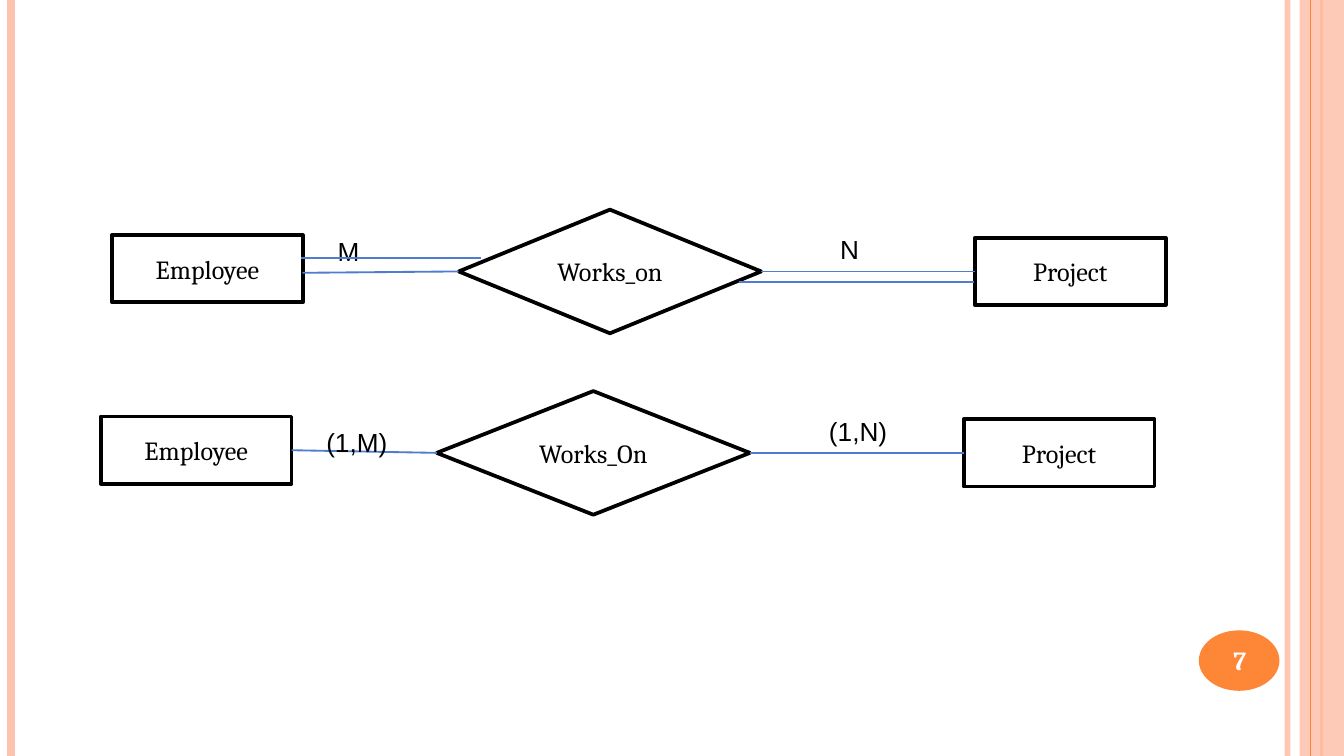
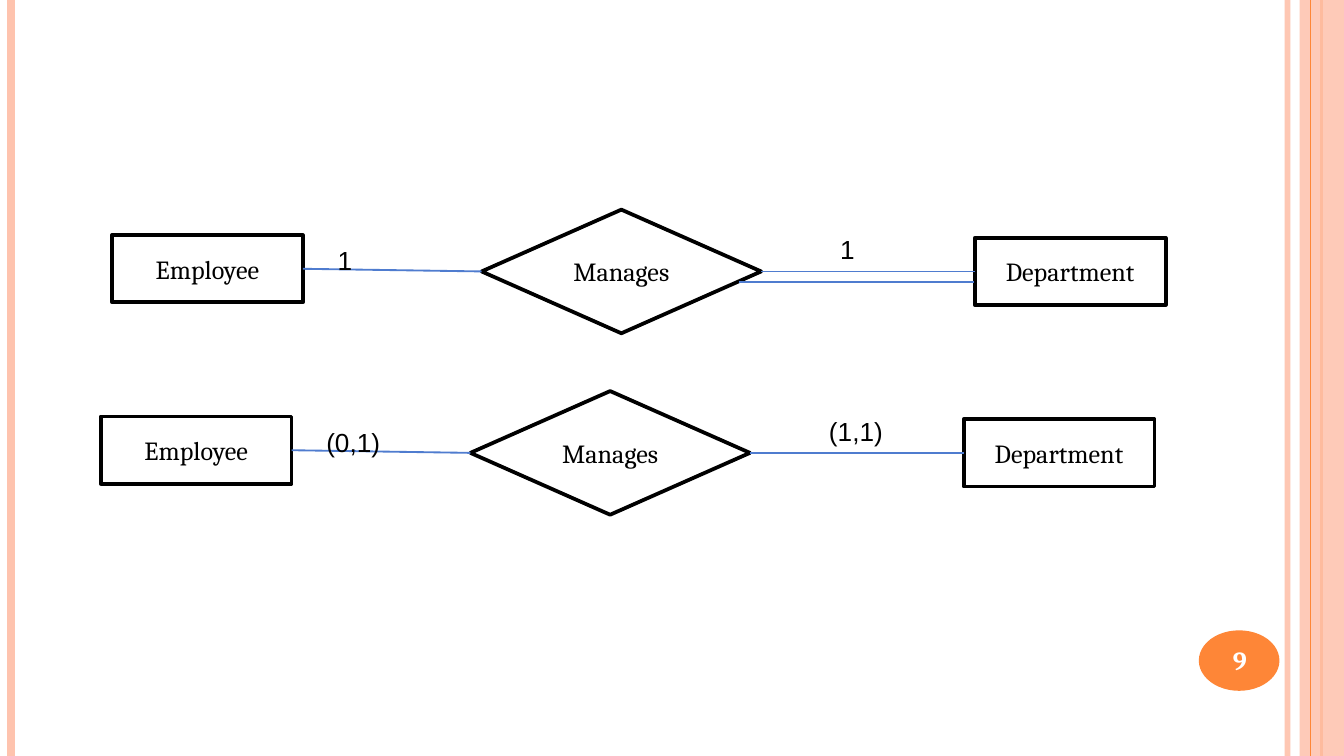
from lxml import etree
from pptx import Presentation
from pptx.dml.color import RGBColor
from pptx.enum.shapes import MSO_CONNECTOR, MSO_SHAPE
from pptx.enum.text import MSO_ANCHOR, MSO_AUTO_SIZE, PP_ALIGN
from pptx.oxml.ns import qn
from pptx.util import Inches, Pt

STRAIGHT = MSO_CONNECTOR.STRAIGHT
RECTANGLE, OVAL = MSO_SHAPE.RECTANGLE, MSO_SHAPE.OVAL
DECISION = MSO_SHAPE.FLOWCHART_DECISION
MIDDLE, TOP = MSO_ANCHOR.MIDDLE, MSO_ANCHOR.TOP
CENTER, LEFT = PP_ALIGN.CENTER, PP_ALIGN.LEFT
GROW, FIXED = MSO_AUTO_SIZE.SHAPE_TO_FIT_TEXT, MSO_AUTO_SIZE.NONE

WHITE = RGBColor(0xFF, 0xFF, 0xFF)
BLACK = RGBColor(0x00, 0x00, 0x00)
PEACH = RGBColor(0xFE, 0xC3, 0xAE)
ORANGE = RGBColor(0xFE, 0x86, 0x37)
BLUE = RGBColor(0x4F, 0x7C, 0xCF)

SERIF, SANS = "Cambria", "Arial"
WIDTH = 10
HEIGHT = WIDTH * 9 / 16
LEFT_SIDE, RIGHT_SIDE = 1, 3

# Diagram sizes and the corners of the two diagrams on each slide
ENTITY_W, ENTITY_H = 1.42, 0.5
DIAMOND_H = 0.92
LABEL_W, LABEL_H = 0.67, 0.34
UPPER = (5 / 6, 1.75)
LOWER = (0.75, 3.1)


def write(shape, text, font=SERIF, size=14, color=BLACK, bold=False,
          align=CENTER, anchor=MIDDLE, auto_size=FIXED):
    frame = shape.text_frame
    frame.word_wrap = True
    frame.auto_size = auto_size
    frame.vertical_anchor = anchor
    paragraph = frame.paragraphs[0]
    paragraph.alignment = align
    run = paragraph.add_run()
    run.text = text
    run.font.name = font
    run.font.size = Pt(size)
    run.font.bold = bold
    run.font.color.rgb = color


def set_opacity(item, percent):
    for color in item.element.spPr.iter(qn("a:srgbClr")):
        etree.SubElement(color, qn("a:alpha")).set("val", str(percent * 1000))


class Deck:
    def __init__(self):
        self.presentation = Presentation()
        self.presentation.slide_width = Inches(WIDTH)
        self.presentation.slide_height = Inches(HEIGHT)
        self.slide = None

    def shape(self, kind, left, top, width, height, fill=WHITE, outline=None):
        shape = self.slide.shapes.add_shape(
            kind, Inches(left), Inches(top), Inches(width), Inches(height))
        shape.shadow.inherit = False
        shape.fill.solid()
        shape.fill.fore_color.rgb = fill
        if outline is None:
            shape.line.fill.background()
        else:
            shape.line.color.rgb = outline
            shape.line.width = Pt(2)
        return shape

    def node(self, kind, text, left, top, width, height):
        node = self.shape(kind, left, top, width, height, outline=BLACK)
        write(node, text)
        return node

    def text(self, text, left, top, width, height, **style):
        box = self.slide.shapes.add_textbox(
            Inches(left), Inches(top), Inches(width), Inches(height))
        write(box, text, **style)

    def label(self, text, left, top):
        self.text(text, left, top, LABEL_W, LABEL_H, font=SANS,
                  align=LEFT, anchor=TOP, auto_size=GROW)

    def line(self, x1, y1, x2, y2, color=BLUE, weight=1):
        line = self.slide.shapes.add_connector(
            STRAIGHT, Inches(x1), Inches(y1), Inches(x2), Inches(y2))
        line.line.color.rgb = color
        line.line.width = Pt(weight)
        etree.SubElement(line.element.spPr, qn("a:effectLst"))
        return line

    def join(self, source, target, start=None):
        """Link facing sides; start is a free (x, y) point on the source."""
        x, y = start or (0, 0)
        link = self.line(x, y, x, y)
        if start is None:
            link.begin_connect(source, RIGHT_SIDE)
        link.end_connect(target, LEFT_SIDE)

    def new_slide(self, number):
        layout = self.presentation.slide_layouts[6]
        self.slide = self.presentation.slides.add_slide(layout)
        # Side stripes
        set_opacity(self.line(9.58, 0, 9.58, HEIGHT, PEACH, 3), 93)
        self.line(0.08, 0, 0.08, HEIGHT, PEACH, 4.5)
        self.line(9.83, 0, 9.83, HEIGHT, ORANGE, 1.5)
        set_opacity(self.shape(RECTANGLE, 9.67, 0, 0.33, HEIGHT, PEACH), 87)
        self.line(9.75, 0, 9.75, HEIGHT, ORANGE, 0.75)
        # Page number
        self.shape(OVAL, 8.92, 4.69, 0.6, 0.45, ORANGE)
        self.text(str(number), 8.89, 4.7, 0.67, 0.43, color=WHITE, bold=True)

    def relationship(self, corner, names, cardinalities, diamond_w,
                     label_drop=0.02, start=None):
        """Draw entity, diamond and entity from the first entity's corner."""
        left, top = corner
        first, verb, second = names
        owner = self.node(RECTANGLE, first, left, top, ENTITY_W, ENTITY_H)
        member = self.node(RECTANGLE, second, left + 6.42, top + 0.02,
                           ENTITY_W, ENTITY_H)
        diamond = self.node(DECISION, verb, left + 4.83 - diamond_w,
                            top - 0.19, diamond_w, DIAMOND_H)
        self.join(owner, diamond, start)
        self.join(diamond, member)
        self.label(cardinalities[0], left + 1.58, top + label_drop)
        self.label(cardinalities[1], left + 5.32, top - 0.06)

    def total_participation(self, x1, x2, y):
        """Second line that makes a link double."""
        self.line(x1, y, x2, y)


def main():
    deck = Deck()

    # Many-to-many
    deck.new_slide(7)
    deck.relationship(UPPER, ("Employee", "Works_on", "Project"), ("M", "N"),
                      2.25, label_drop=-0.05, start=(2.25, 2.03))
    deck.total_participation(2.24, 3.58, 1.92)
    deck.total_participation(5.5, 7.25, 2.1)
    deck.relationship(LOWER, ("Employee", "Works_On", "Project"),
                      ("(1,M)", "(1,N)"), 2.33)

    # One-to-one
    deck.new_slide(9)
    manages = ("Employee", "Manages", "Department")
    deck.relationship(UPPER, manages, ("1", "1"), 2.08)
    deck.total_participation(5.5, 7.25, 2.1)
    deck.relationship(LOWER, manages, ("(0,1)", "(1,1)"), 2.08)

    deck.presentation.save("out.pptx")


if __name__ == "__main__":
    main()
